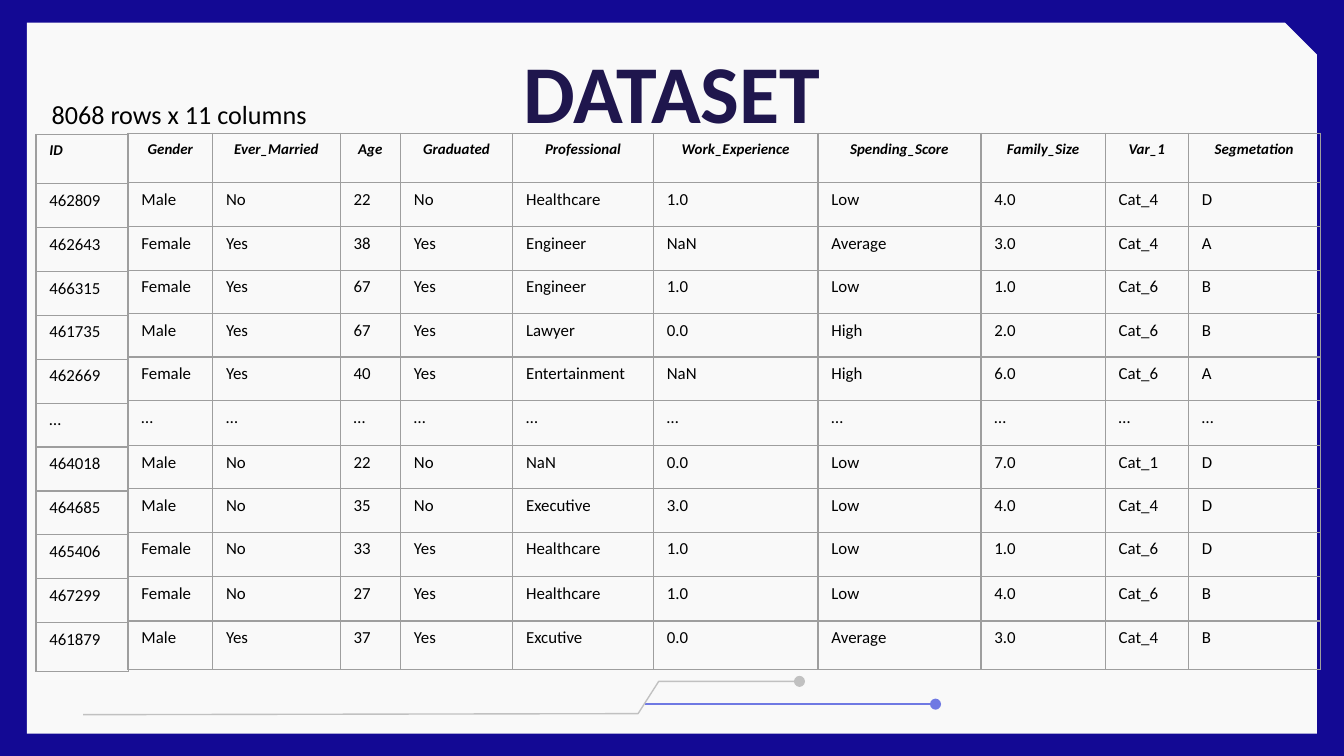
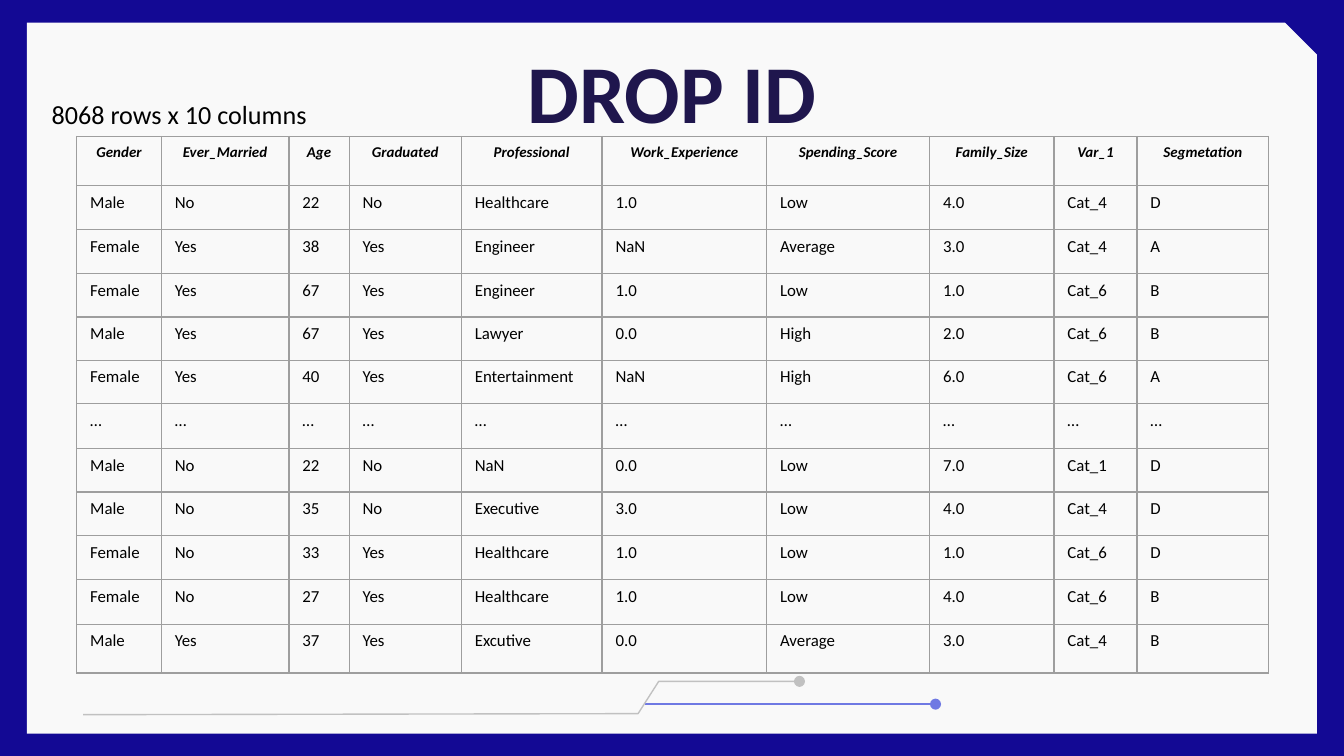
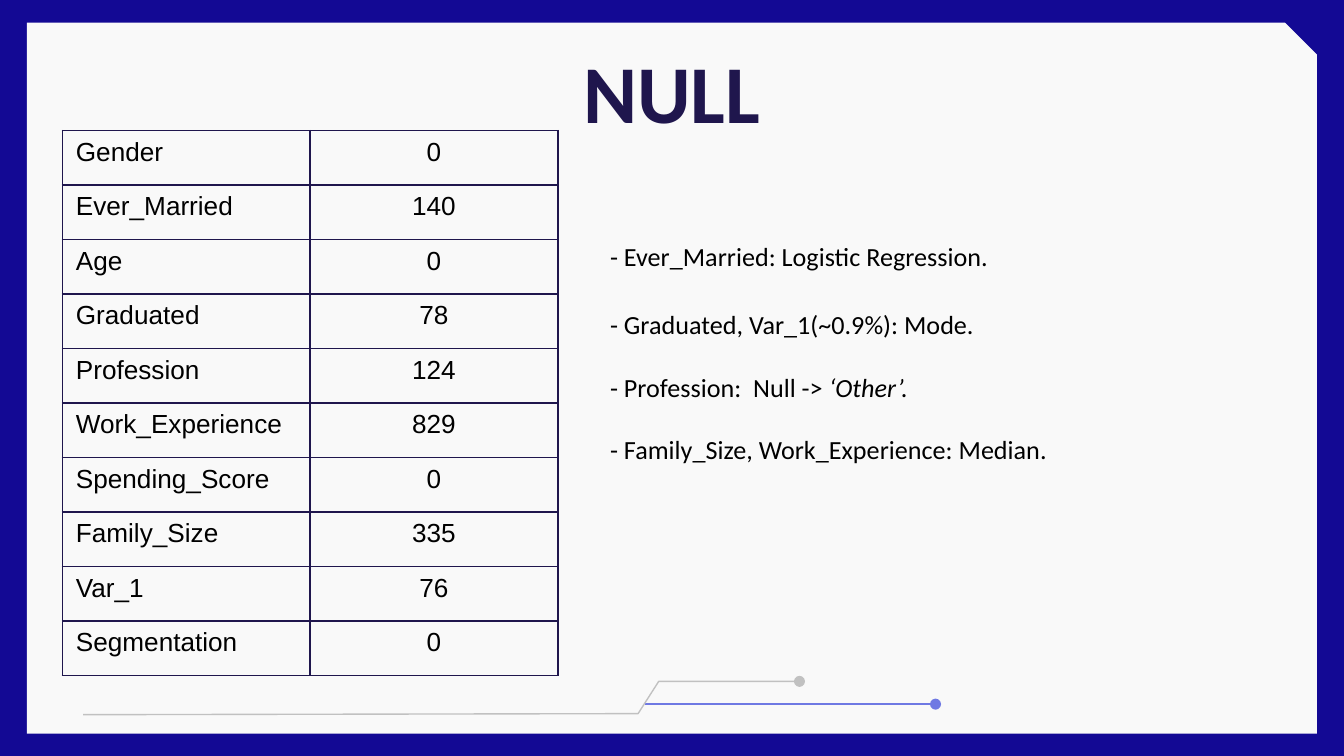
from lxml.etree import SubElement as Sub
from pptx import Presentation
from pptx.dml.color import RGBColor as RGB
from pptx.enum.shapes import MSO_CONNECTOR as Conn, MSO_SHAPE as Geo
from pptx.enum.text import MSO_ANCHOR as Anchor, MSO_AUTO_SIZE as Auto, PP_ALIGN as Align
from pptx.oxml.ns import qn
from pptx.util import Cm, Pt

NAVY = RGB(0x13, 0x09, 0x94)
PAPER = RGB(0xF9, 0xF9, 0xF9)
INK = RGB(0x1F, 0x16, 0x4D)
BLACK = RGB(0, 0, 0)
BLUE = RGB(0x6F, 0x79, 0xE3)
GREY = RGB(0xC1, 0xC1, 0xC1)
RULE = RGB(0x9E, 0x9E, 0x9E)

HEAD = dict(name="Calibri", size=Pt(44), bold=True, color=INK)
NOTE = dict(name="Calibri", size=Pt(14), color=BLACK)
LABEL = dict(name="Calibri", size=Pt(8), bold=True, italic=True, color=BLACK)
BODY = dict(name="Calibri", size=Pt(9), color=BLACK)
COUNT = dict(name="Arial", size=Pt(14), color=BLACK)
MID = dict(alignment=Align.CENTER)
LEFT = dict(alignment=Align.LEFT)

FIELDS = ("Gender Ever_Married Age Graduated Professional Work_Experience "
          "Spending_Score Family_Size Var_1 Segmetation").split()
IDS = "ID 462809 462643 466315 461735 462669 … 464018 464685 465406 467299 461879".split()
PEOPLE = [row.split() for row in (
    "Male No 22 No Healthcare 1.0 Low 4.0 Cat_4 D",
    "Female Yes 38 Yes Engineer NaN Average 3.0 Cat_4 A",
    "Female Yes 67 Yes Engineer 1.0 Low 1.0 Cat_6 B",
    "Male Yes 67 Yes Lawyer 0.0 High 2.0 Cat_6 B",
    "Female Yes 40 Yes Entertainment NaN High 6.0 Cat_6 A",
    "… … … … … … … … … …",
    "Male No 22 No NaN 0.0 Low 7.0 Cat_1 D",
    "Male No 35 No Executive 3.0 Low 4.0 Cat_4 D",
    "Female No 33 Yes Healthcare 1.0 Low 1.0 Cat_6 D",
    "Female No 27 Yes Healthcare 1.0 Low 4.0 Cat_6 B",
    "Male Yes 37 Yes Excutive 0.0 Average 3.0 Cat_4 B",
)]
WIDTHS = [1.6, 2.41, 1.14, 2.12, 2.66, 3.11, 3.08, 2.35, 1.57, 2.49]
HEIGHTS = [0.93, 0.83, 0.83, 0.82, 0.82, 0.82, 0.85, 0.82, 0.82, 0.84, 0.84, 0.92]
ID_HEIGHTS = [0.93] + [0.83] * 10 + [0.92]
NULLS = [("Gender", "0"), ("Ever_Married", "140"), ("Age", "0"), ("Graduated", "78"),
         ("Profession", "124"), ("Work_Experience", "829"), ("Spending_Score", "0"),
         ("Family_Size", "335"), ("Var_1", "76"), ("Segmentation", "0")]


def style(item, values):
    for key, value in values.items():
        if key == "color":
            item.color.rgb = value
        else:
            setattr(item, key, value)


class Deck:
    def __init__(self):
        self.file = Presentation()
        self.file.slide_width, self.file.slide_height = Cm(25.4), Cm(14.29)
        self.layout = self.file.slide_layouts[5]
        self.slide = None

    def page(self, title):
        first = self.slide is None
        self.slide = self.file.slides.add_slide(self.layout)
        if first:
            self.frame()
        head = self.slide.shapes.title
        style(head, dict(left=Cm(0), top=Cm(0.38), width=Cm(25.4), height=Cm(2.24)))
        style(head.text_frame, dict(auto_size=Auto.NONE, vertical_anchor=Anchor.TOP))
        self.fill(head.text_frame.paragraphs[0], [(title, {})], HEAD, dict(MID, line_spacing=1.15))

    def frame(self):
        back = self.layout.background.fill
        back.solid()
        back.fore_color.rgb = NAVY
        shapes = self.slide.shapes
        panel = shapes.add_shape(Geo.SNIP_1_RECTANGLE, Cm(0.51), Cm(0.43), Cm(24.38), Cm(13.44))
        panel.adjustments[0] = 0.045
        panel.shadow.inherit = False
        panel.fill.solid()
        panel.fill.fore_color.rgb = PAPER
        panel.line.fill.background()
        wire = shapes.add_connector(Conn.STRAIGHT, Cm(17.68), Cm(13.31), Cm(12.19), Cm(13.31))
        Sub(wire.element.spPr, qn("a:effectLst"))
        self.dot(wire, BLUE, "a:headEnd")
        path = shapes.build_freeform(Cm(1.57), Cm(13.51))
        path.add_line_segments([(Cm(x), Cm(y)) for x, y in (
            (12.06, 13.49), (12.45, 12.88), (14.4, 12.88), (15.11, 12.88))], close=False)
        trace = path.convert_to_shape()
        trace.shadow.inherit = False
        trace.fill.background()
        self.dot(trace, GREY, "a:tailEnd")
        for part in (panel, wire, trace):
            self.layout.shapes.element.append(part.element)

    def dot(self, shape, color, end):
        style(shape.line, dict(color=color, width=Pt(0.75)))
        Sub(shape.element.spPr.find(qn("a:ln")), qn(end), type="oval")

    def fill(self, para, runs, font, form):
        style(para, form)
        for words, extra in runs:
            run = para.add_run()
            run.text = words
            style(run.font, {**font, **extra})

    def text(self, x, y, w, h, lines, form):
        frame = self.slide.shapes.add_textbox(Cm(x), Cm(y), Cm(w), Cm(h)).text_frame
        frame.word_wrap = True
        for i, runs in enumerate(lines):
            para = frame.add_paragraph() if i else frame.paragraphs[0]
            self.fill(para, runs, NOTE, form)

    def table(self, x, y, widths, heights, data, look, color, line):
        grid = self.slide.shapes.add_table(
            len(heights), len(widths), Cm(x), Cm(y), Cm(sum(widths)), Cm(sum(heights))).table
        style(grid, dict(first_row=False, horz_banding=False))
        for col, width in zip(grid.columns, widths):
            col.width = Cm(width)
        for r, (row, height) in enumerate(zip(grid.rows, heights)):
            row.height = Cm(height)
            for c, cell in enumerate(row.cells):
                self.edge(cell, color, line)
                cell.fill.background()
                self.fill(cell.text_frame.paragraphs[0], [(data[r][c], {})], *look(r, c))

    def edge(self, cell, color, line):
        props = cell._tc.get_or_add_tcPr()
        for side in ("a:lnL", "a:lnR", "a:lnT", "a:lnB"):
            rule = Sub(props, qn(side), w=str(Pt(line)))
            Sub(Sub(rule, qn("a:solidFill")), qn("a:srgbClr"), val=str(color))

    def people(self, x, y):
        self.table(x, y, WIDTHS, HEIGHTS, [FIELDS] + PEOPLE,
                   lambda r, c: (BODY, LEFT) if r else (LABEL, MID), RULE, 0.75)

    def size(self, words):
        self.text(-0.46, 1.73, 7.7, 0.86, [[(words, {})]], MID)


def main():
    deck = Deck()

    deck.page("DATASET")
    deck.people(2.42, 2.52)
    deck.table(0.68, 2.54, [1.75], ID_HEIGHTS, [[key] for key in IDS],
               lambda r, c: (BODY if r else LABEL, LEFT), RULE, 0.75)
    deck.size("8068 rows x 11 columns")

    deck.page("DROP ID")
    deck.people(1.45, 2.58)
    deck.size("8068 rows x 10 columns")

    deck.page("NULL")
    deck.table(1.18, 2.47, [4.68] * 2, [1.03] * len(NULLS), NULLS,
               lambda r, c: (COUNT, MID if c else LEFT), INK, 1)
    deck.text(11.28, 4.42, 12.27, 0.86, [[("- Ever_Married: Logistic Regression.", {})]], LEFT)
    deck.text(11.28, 5.11, 12.27, 3.66, [
        [("- Graduated, Var_1(~0.9%): Mode.", {})],
        [("- Profession:  Null -> ", {}), ("‘Other’.", dict(italic=True))],
        [("- Family_Size, Work_Experience: Median.", {})],
    ], dict(LEFT, line_spacing=2.0))

    deck.file.save("out.pptx")


if __name__ == "__main__":
    main()
